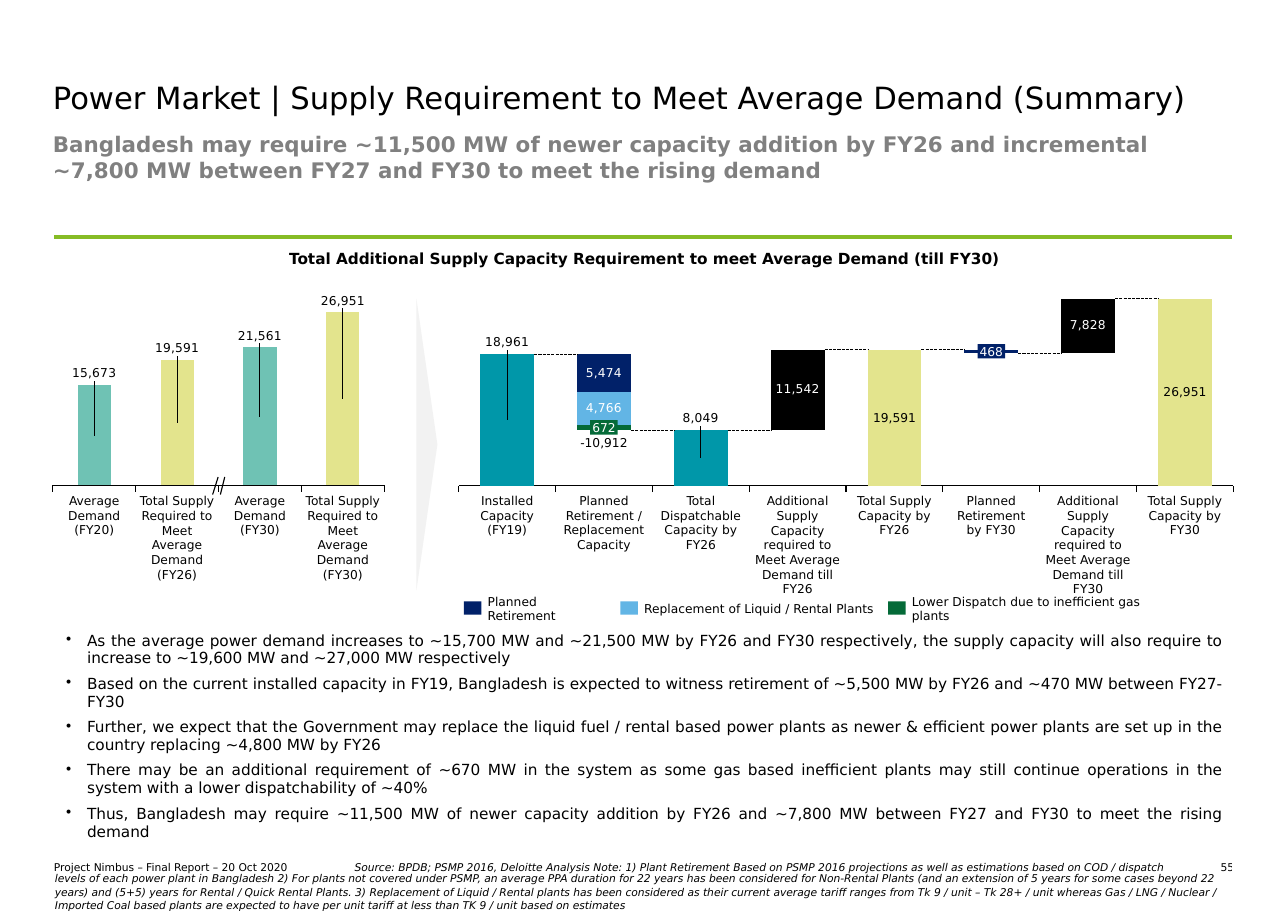
import pptx
import pptx.chart.data
import pptx.dml.color
import pptx.enum.chart
import pptx.enum.dml
import pptx.enum.shapes
import pptx.enum.text
import pptx.oxml
import pptx.oxml.ns
import pptx.util

THEME = dict(font="DejaVu Sans", black="000000", white="FFFFFF", grey="808080", pale="F2F2F2",
             green="86BC25", mint="6FC2B4", lime="E3E48D", teal="0097A9", navy="012169",
             sky="62B5E5", forest="046A38",
             title=20, subtitle=14, body=10, label=8, note=7)
RGB = pptx.dml.color.RGBColor.from_string
ALIGN = pptx.enum.text.PP_ALIGN
ANCHOR = pptx.enum.text.MSO_ANCHOR
SHAPE = pptx.enum.shapes.MSO_SHAPE
LINE = pptx.enum.shapes.MSO_CONNECTOR.STRAIGHT
NS = pptx.oxml.ns.nsdecls("a", "c")

prs = pptx.Presentation()
prs.slide_width, prs.slide_height = pptx.util.Inches(11.69), pptx.util.Inches(8.27)
s = prs.slides.add_slide(prs.slide_layouts[6])


def at(*shares):
    sides = (prs.slide_width, prs.slide_height) * 2
    return [round(share / 100 * side) for share, side in zip(shares, sides)]


def write(sp, text, size, color="black", align=ALIGN.LEFT, anchor=ANCHOR.TOP,
          wrap=True, inset=0, bold=False, italic=False):
    tf = sp.text_frame
    tf.text = text
    tf.word_wrap, tf.vertical_anchor = wrap, anchor
    tf.margin_left = tf.margin_right = tf.margin_top = tf.margin_bottom = pptx.util.Inches(inset)
    p = tf.paragraphs[0]
    p.alignment = align
    f = p.runs[0].font
    f.name, f.size, f.bold, f.italic = THEME["font"], pptx.util.Pt(THEME[size]), bold, italic
    f.color.rgb = RGB(THEME[color])
    return p


write(s.shapes.add_textbox(*at(4.19, 94.44, 41.32, 1.45)),
      "Project Nimbus – Final Report – 20 Oct 2020", "note", anchor=ANCHOR.BOTTOM)
write(s.shapes.add_textbox(*at(91.96, 94.44, 3.85, 1.45)), "55", "note", align=ALIGN.RIGHT)

tbl = s.shapes.add_table(1, 1, *at(4.11, 26, 91.62, 71.95)).table
tbl.first_row = tbl.horz_banding = False
cell = tbl.cell(0, 0)
cell.margin_left = cell.margin_top = pptx.util.Inches(0.12)
cell.margin_right, cell.margin_bottom = pptx.util.Inches(0.1), pptx.util.Inches(0.05)
tcPr = cell._tc.get_or_add_tcPr()
for side, color, width in (("L", "white", 1), ("R", "white", 1), ("T", "green", 3), ("B", "white", 3)):
    tcPr.append(pptx.oxml.parse_xml(
        f'<a:ln{side} {NS} w="{pptx.util.Pt(width)}"><a:solidFill><a:srgbClr val="{THEME[color]}"/>'
        f'</a:solidFill></a:ln{side}>'))
cell.fill.background()
points = [
    "Total Additional Supply Capacity Requirement to meet Average Demand (till FY30)",
    "As the average power demand increases to ~15,700 MW and ~21,500 MW by FY26 and FY30 respectively, the supply capacity will also require to increase to ~19,600 MW and ~27,000 MW respectively",
    "Based on the current installed capacity in FY19, Bangladesh is expected to witness retirement of ~5,500 MW by FY26 and ~470 MW between FY27-FY30",
    "Further, we expect that the Government may replace the liquid fuel / rental based power plants as newer & efficient power plants are set up in the country replacing ~4,800 MW by FY26",
    "There may be an additional requirement of ~670 MW in the system as some gas based inefficient plants may still continue operations in the system with a lower dispatchability of ~40%",
    "Thus, Bangladesh may require ~11,500 MW of newer capacity addition by FY26 and ~7,800 MW between FY27 and FY30 to meet the rising demand",
]
cell.text_frame.text = "\n".join(points)
for i, p in enumerate(cell.text_frame.paragraphs):
    p.alignment = ALIGN.JUSTIFY if i else ALIGN.CENTER
    p.space_after = pptx.util.Pt(5)
    if i == 1:
        p.space_before = pptx.util.Pt(233)
    if i:
        pPr = p._p.get_or_add_pPr()
        pPr.set("marL", str(pptx.util.Inches(0.19)))
        pPr.set("indent", str(pptx.util.Inches(-0.19)))
        pPr.append(pptx.oxml.parse_xml(f'<a:buChar {NS} char="•"/>'))
    f = p.runs[0].font
    f.name, f.size, f.bold = THEME["font"], pptx.util.Pt(THEME["body"]), i == 0
    f.color.rgb = RGB(THEME["black"])

write(s.shapes.add_textbox(*at(4.11, 8.71, 91.62, 5.68)),
      "Power Market | Supply Requirement to Meet Average Demand (Summary)", "title")
write(s.shapes.add_textbox(*at(4.11, 14.39, 91.62, 6.89)),
      "Bangladesh may require ~11,500 MW of newer capacity addition by FY26 and incremental ~7,800 MW between FY27 and FY30 to meet the rising demand",
      "subtitle", "grey", bold=True)

PEAK = 26951
LABEL_RISE = 0.054
demand = dict(
    box=(3.34, 32.04, 27.29, 22.37), plot=(0.028, 0.101, 0.943, 0.85), gap=150,
    series=[([15673, 19591, 21561, PEAK], "lime", {0: "mint", 2: "mint"}, {}, (0, 1, 2, 3))],
    labels=[("Average Demand (FY20)", 4.11, 3),
            ("Total Supply Required to Meet Average Demand (FY26)", 6.07, 6),
            ("Average Demand (FY30)", 4.11, 3),
            ("Total Supply Required to Meet Average Demand (FY30)", 6.07, 6)])
supply = dict(
    box=(34.82, 31.68, 61.68, 22.73), plot=(0.013, 0.048, 0.975, 0.904), gap=80,
    series=[([18961, 8049, 8049, 8049, 19591, 19123, 19123, PEAK], None,
             {0: "teal", 2: "teal", 4: "lime", 7: "lime"}, {}, (0, 2)),
            ([None, 672, None, 11542, 0, 468, 7828, 0], "black",
             {1: "forest", 4: "lime", 5: "navy", 7: "lime"}, {3: "white", 6: "white"}, ()),
            ([None, 4766] + [None] * 6, "sky", {}, {1: "white"}, ()),
            ([None, 5474] + [None] * 6, "navy", {}, {1: "white"}, ())],
    labels=[("Installed Capacity (FY19)", 4.28, 3),
            ("Planned Retirement / Replacement Capacity", 6.33, 4),
            ("Total Dispatchable Capacity by FY26", 6.24, 4),
            ("Additional Supply Capacity required to Meet Average Demand till FY26", 6.67, 7),
            ("Total Supply Capacity by FY26", 6.07, 3),
            ("Planned Retirement by FY30", 5.39, 3),
            ("Additional Supply Capacity required to Meet Average Demand till FY30", 6.67, 7),
            ("Total Supply Capacity by FY30", 6.07, 3)])

for panel in (demand, supply):
    (left, top, width, height), (px, py, pw, ph) = panel["box"], panel["plot"]
    count = len(panel["labels"])
    cd = pptx.chart.data.CategoryChartData(number_format="#,##0")
    cd.categories = [str(i + 1) for i in range(count)]
    for i, row in enumerate(panel["series"]):
        cd.add_series(f"Series {i + 1}", row[0])
    chart = s.shapes.add_chart(pptx.enum.chart.XL_CHART_TYPE.COLUMN_STACKED,
                               *at(left, top, width, height), cd).chart
    chart.has_legend = chart.has_title = False
    chart.font.name, chart.font.size = THEME["font"], pptx.util.Pt(THEME["body"])
    chart.font.color.rgb = RGB(THEME["black"])
    va, ca = chart.value_axis, chart.category_axis
    va.minimum_scale, va.maximum_scale = 0, PEAK
    va.has_major_gridlines = va.visible = False
    ca.tick_label_position = pptx.enum.chart.XL_TICK_LABEL_POSITION.NONE
    ca.major_tick_mark = pptx.enum.chart.XL_TICK_MARK.OUTSIDE
    ca.format.line.color.rgb, ca.format.line.width = RGB(THEME["black"]), pptx.util.Pt(0.75)
    plot = chart.plots[0]
    plot.gap_width, plot.overlap, plot.vary_by_categories = panel["gap"], 100, False
    area = chart._chartSpace.chart.plotArea
    for old in area.findall(pptx.oxml.ns.qn("c:layout")):
        area.remove(old)
    area.insert(0, pptx.oxml.parse_xml(
        f'<c:layout {NS}><c:manualLayout><c:layoutTarget val="inner"/><c:xMode val="edge"/>'
        f'<c:yMode val="edge"/><c:x val="{px}"/><c:y val="{py}"/><c:w val="{pw}"/><c:h val="{ph}"/>'
        f'</c:manualLayout></c:layout>'))
    for ser, (values, color, fills, centred, raised) in zip(plot.series, panel["series"]):
        ser.invert_if_negative = False
        if color:
            ser.format.fill.solid()
            ser.format.fill.fore_color.rgb = RGB(THEME[color])
        else:
            ser.format.fill.background()
        for i, fill in fills.items():
            ser.points[i].format.fill.solid()
            ser.points[i].format.fill.fore_color.rgb = RGB(THEME[fill])
        ser.data_labels.show_value = False
        for i, ink in {**centred, **{i: "black" for i in raised}}.items():
            dl = ser.points[i].data_label
            dl.font.name, dl.font.size = THEME["font"], pptx.util.Pt(THEME["label"])
            dl.font.color.rgb = RGB(THEME[ink])
            dl.position = pptx.enum.chart.XL_LABEL_POSITION.CENTER
        for i in raised:
            shift = -(values[i] / PEAK * ph / 2 + LABEL_RISE)
            ser._element.xpath(f'.//c:dLbl[c:idx/@val="{i}"]')[0].insert(1, pptx.oxml.parse_xml(
                f'<c:layout {NS}><c:manualLayout><c:x val="0"/><c:y val="{shift:.3f}"/>'
                f'</c:manualLayout></c:layout>'))
    pitch = width * pw / count
    centres = [left + width * px + (i + 0.5) * pitch for i in range(count)]
    for x, (text, w, lines) in zip(centres, panel["labels"]):
        write(s.shapes.add_textbox(*at(x - w / 2, 54.17, w, 1.6 * lines)), text, "label",
              align=ALIGN.CENTER)

base, rise = top + height * (py + ph), height * ph / PEAK
half_bar = pitch / (1 + supply["gap"] / 100) / 2
lines = [(17.45, 52.36, 17.11, 54.29, 0.75), (16.94, 52.36, 16.51, 54.29, 0.75)]
for i, level in enumerate((18961, 8049, 8049, 19591, 19591, 19123, PEAK)):
    y = base - level * rise
    lines.append((centres[i] + half_bar, y, centres[i + 1] - half_bar, y, 0.25))
for x1, y1, x2, y2, weight in lines:
    sp = s.shapes.add_connector(LINE, *at(x1, y1, x2, y2))
    sp.line.color.rgb, sp.line.width = RGB(THEME["black"]), pptx.util.Pt(weight)
    if y1 == y2:
        sp.line.dash_style = pptx.enum.dml.MSO_LINE.LONG_DASH
    sp._element.spPr.append(pptx.oxml.parse_xml(f'<a:effectLst {NS}/>'))

blocks = [(SHAPE.ISOSCELES_TRIANGLE, (21.81, 47.64, 22.67, 2.3), "pale", 90, "", "black")]
for text, col, level, w, fill, ink in (
        ("672", 1, 8385, 2.14, "forest", "white"), ("468", 5, 19357, 2.14, "navy", "white"),
        ("-10,912", 1, 6250, 4.11, None, "black"), ("19,591", 4, 9796, 3.68, None, "black"),
        ("26,951", 7, 13476, 3.68, None, "black")):
    blocks.append((SHAPE.RECTANGLE, (centres[col] - w / 2, base - level * rise - 0.79, w, 1.57),
                   fill, 0, text, ink))
for x, w, color, text in ((36.01, 9.41, "navy", "Planned Retirement"),
                          (48.16, 18.05, "sky", "Replacement of Liquid / Rental Plants"),
                          (68.95, 20.96, "forest", "Lower Dispatch due to inefficient gas plants")):
    blocks.append((SHAPE.RECTANGLE, (x, 66.02, 1.37, 1.45), color, 0, "", "black"))
    write(s.shapes.add_textbox(*at(x + 1.85, 66.02, w, 1.57)), text, "label",
          anchor=ANCHOR.MIDDLE, wrap=False)
for kind, box, fill, turn, text, ink in blocks:
    sp = s.shapes.add_shape(kind, *at(*box)) if fill else s.shapes.add_textbox(*at(*box))
    sp.rotation = turn
    if fill:
        sp.shadow.inherit = False
        sp.fill.solid()
        sp.fill.fore_color.rgb = RGB(THEME[fill])
        sp.line.fill.background()
    if text:
        write(sp, text, "label", ink, ALIGN.CENTER, ANCHOR.MIDDLE, wrap=False)

for box, text in (
        ((3.42, 95.89, 92.99, 3.99), "levels of each power plant in Bangladesh 2) For plants not covered under PSMP, an average PPA duration for 22 years has been considered for Non-Rental Plants (and an extension of 5 years for some cases beyond 22 years) and (5+5) years for Rental / Quick Rental Plants. 3) Replacement of Liquid / Rental plants has been considered as their current average tariff ranges from Tk 9 / unit – Tk 28+ / unit whereas Gas / LNG / Nuclear / Imported Coal based plants are expected to have per unit tariff at less than TK 9 / unit based on estimates"),
        ((26.69, 93.83, 67.58, 2.66), "Source: BPDB; PSMP 2016, Deloitte Analysis Note: 1) Plant Retirement Based on PSMP 2016 projections as well as estimations based on COD / dispatch")):
    p = write(s.shapes.add_textbox(*at(*box)), text, "note", anchor=ANCHOR.MIDDLE, inset=0.1, italic=True)
    p.line_spacing = 1.06

prs.save("out.pptx")
